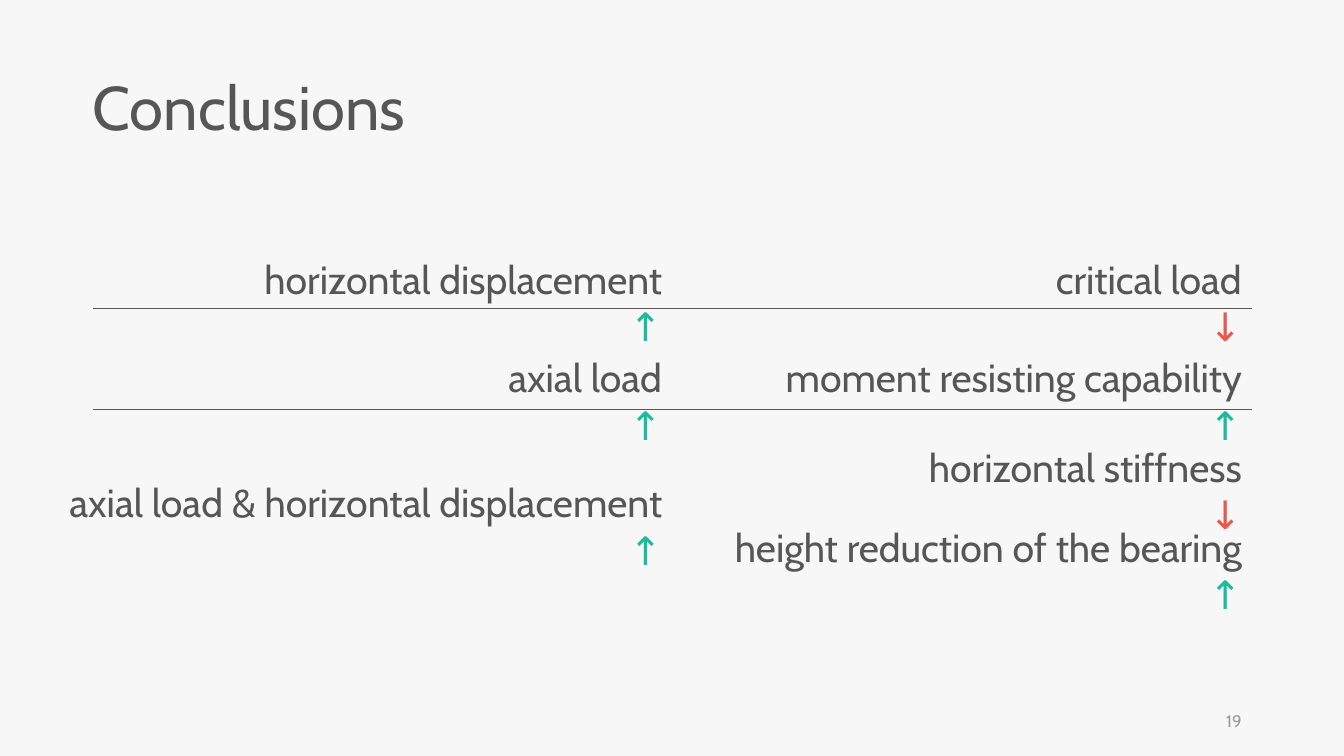
from lxml.etree import SubElement
from pptx import Presentation
from pptx.dml.color import RGBColor
from pptx.enum.shapes import MSO_CONNECTOR
from pptx.enum.text import MSO_ANCHOR, MSO_AUTO_SIZE, PP_ALIGN
from pptx.oxml.ns import qn
from pptx.util import Cm, Pt

COLORS = {
    "background": "F7F7F7",
    "text": "565656",
    "muted": "9A9A9A",
    "↑": "1ABC9C",
    "↓": "E95849",
}
LEFT_MARGIN = 2.34
CAUSE_RIGHT = 16.93
EFFECT_RIGHT = 31.54
STATEMENT_HEIGHT = 1.45


class ConclusionsSlide:
    font_name = "Cabin"

    def __init__(self, deck):
        self.page = deck.slides.add_slide(deck.slide_layouts[6])
        fill = self.page.background.fill
        fill.solid()
        fill.fore_color.rgb = self.color("background")

    def color(self, name):
        return RGBColor.from_string(COLORS[name])

    def style(self, span, size, color):
        span.font.name = self.font_name
        span.font.size = Pt(size)
        span.font.color.rgb = self.color(color)

    def text(self, left, top, width, height, words, size, color="text"):
        box = self.page.shapes.add_textbox(Cm(left), Cm(top), Cm(width), Cm(height))
        frame = box.text_frame
        frame.word_wrap = True
        frame.text = words
        self.style(frame.paragraphs[0].runs[0], size, color)
        return frame

    def title(self, words):
        frame = self.text(LEFT_MARGIN, 1.83, 12.45, 1.96, words, 44)
        frame.margin_left = 0
        frame.auto_size = MSO_AUTO_SIZE.SHAPE_TO_FIT_TEXT
        frame.paragraphs[0].line_spacing = 0.9

    def page_number(self, number):
        width = 7.62
        frame = self.text(EFFECT_RIGHT - width, 17.65, width, 1.02, number, 12, "muted")
        frame.vertical_anchor = MSO_ANCHOR.MIDDLE
        frame.paragraphs[0].alignment = PP_ALIGN.RIGHT

    def statement(self, right, top, width, words, arrow):
        frame = self.text(right - width, top, width, STATEMENT_HEIGHT, words + " ", 28)
        frame.auto_size = MSO_AUTO_SIZE.SHAPE_TO_FIT_TEXT
        para = frame.paragraphs[0]
        para.alignment = PP_ALIGN.RIGHT
        span = para.add_run()
        span.text = arrow
        self.style(span, 28, arrow)

    def divider(self, top):
        line = self.page.shapes.add_connector(
            MSO_CONNECTOR.STRAIGHT, Cm(LEFT_MARGIN), Cm(top), Cm(EFFECT_RIGHT), Cm(top)
        )
        line.line.color.rgb = self.color("text")
        line.line.width = Pt(0.5)
        SubElement(line._element.spPr, qn("a:effectLst"))


def main():
    deck = Presentation()
    deck.slide_width, deck.slide_height = Cm(33.87), Cm(19.05)
    slide = ConclusionsSlide(deck)
    slide.title("Conclusions")
    slide.page_number("19")
    for statement in (
        (CAUSE_RIGHT, 6.3, 11.23, "horizontal displacement", "↑"),
        (EFFECT_RIGHT, 6.3, 5.97, "critical load", "↓"),
        (CAUSE_RIGHT, 11.94, 16.36, "axial load & horizontal displacement", "↑"),
        (EFFECT_RIGHT, 11.05, 8.97, "horizontal stiffness", "↓"),
        (EFFECT_RIGHT, 8.79, 12.62, "moment resisting capability", "↑"),
        (CAUSE_RIGHT, 8.79, 5.16, "axial load", "↑"),
        (EFFECT_RIGHT, 13.06, 14.25, "height reduction of the bearing", "↑"),
    ):
        slide.statement(*statement)
    for top in (7.77, 10.31):
        slide.divider(top)
    deck.save("out.pptx")


if __name__ == "__main__":
    main()
